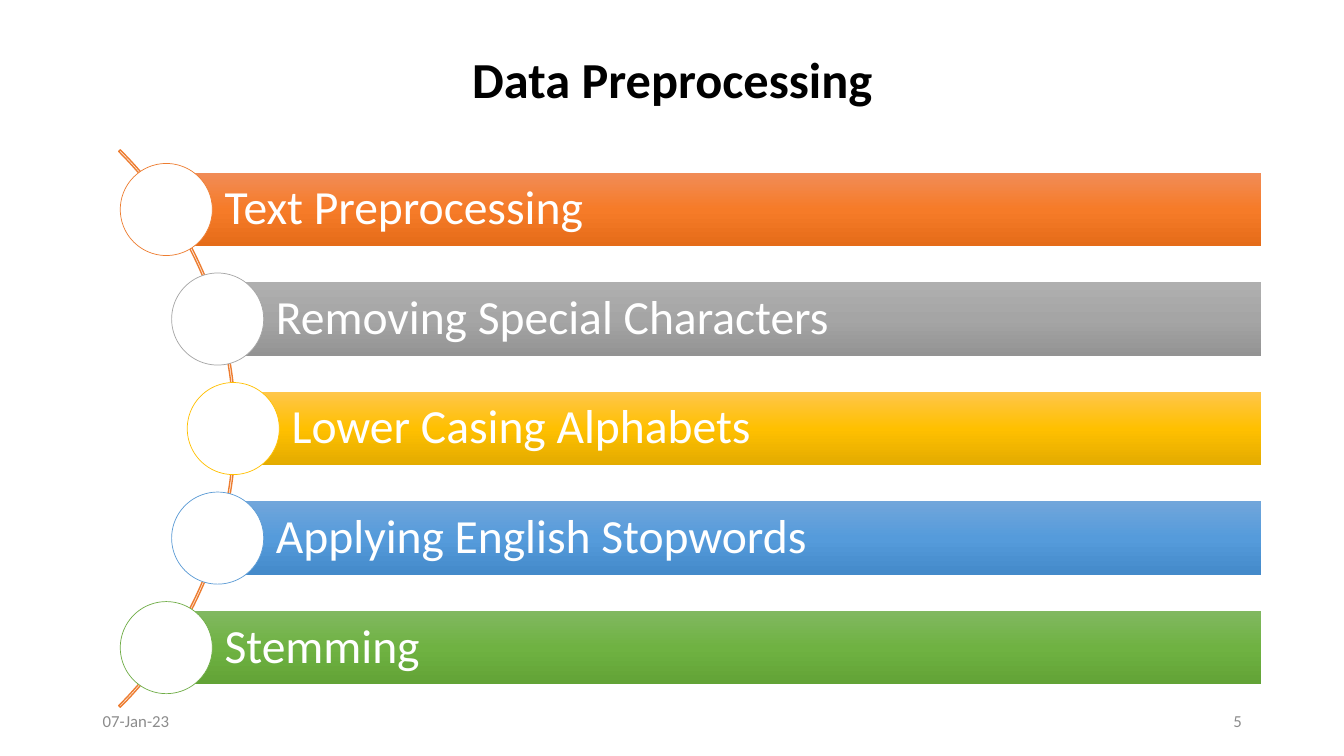
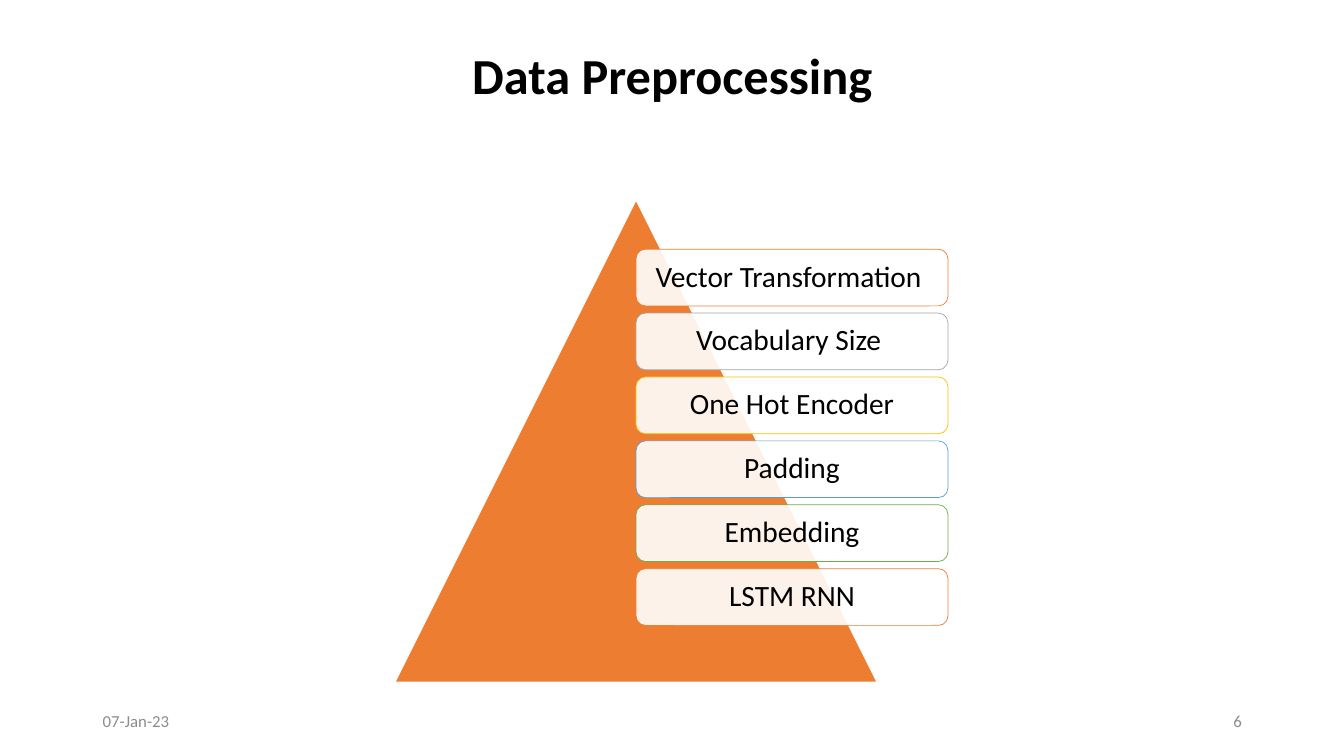
from copy import deepcopy
from math import sqrt

from lxml.etree import SubElement
from pptx import Presentation
from pptx.dml.color import RGBColor
from pptx.enum.shapes import MSO_SHAPE
from pptx.enum.text import MSO_ANCHOR, PP_ALIGN
from pptx.oxml.ns import qn
from pptx.util import Cm, Pt

ORANGE, GREY, GOLD, BLUE, GREEN = ACCENTS = ["ED7D31", "A5A5A5", "FFC000", "5B9BD5", "70AD47"]
WHITE, BLACK, MUTED = "FFFFFF", "000000", "8C8C8C"


def rgb(value):
    return RGBColor.from_string(value)


def set_attrs(obj, values):
    for name, value in values.items():
        setattr(obj, name, value)


class Deck:
    font = "Calibri"
    margin, content_width = 2.34, 29.21
    date = "07-Jan-23"

    def __init__(self):
        self.prs = Presentation()
        set_attrs(self.prs, {"slide_width": Cm(33.87), "slide_height": Cm(19.05)})
        self.slide = None

    def new_slide(self, title, title_middle, number):
        self.slide = self.prs.slides.add_slide(self.prs.slide_layouts[6])
        height = 1.9
        self.label(title, self.margin, title_middle - height / 2, self.content_width, height,
                   size=36, bold=True, align=PP_ALIGN.CENTER)
        # Footer: date on the left, page number on the right
        width, top, height = 7.62, 17.65, 1.02
        right = self.margin + self.content_width - width
        self.label(self.date, self.margin, top, width, height, size=12, color=MUTED)
        self.label(str(number), right, top, width, height,
                   size=12, color=MUTED, align=PP_ALIGN.RIGHT)

    def add_text(self, s, text, size, color=BLACK, bold=False, align=PP_ALIGN.LEFT,
                 insets=(0.25, 0.13, 0.25, 0.13)):
        tf = s.text_frame
        sides = ("margin_left", "margin_top", "margin_right", "margin_bottom")
        set_attrs(tf, {"word_wrap": True, "vertical_anchor": MSO_ANCHOR.MIDDLE,
                       **{side: Cm(inset) for side, inset in zip(sides, insets)}})
        p = tf.paragraphs[0]
        set_attrs(p, {"alignment": align, "line_spacing": 0.9 if size > 12 else 1.0})
        r = p.add_run()
        r.text = text
        set_attrs(r.font, {"name": self.font, "size": Pt(size), "bold": bold})
        r.font.color.rgb = rgb(color)

    def label(self, text, left, top, width, height, **style):
        s = self.slide.shapes.add_textbox(Cm(left), Cm(top), Cm(width), Cm(height))
        self.add_text(s, text, **style)

    def shape(self, kind, left, top, width, height, fill=None, line=None, weight=0.5, alpha=None):
        s = self.slide.shapes.add_shape(kind, Cm(left), Cm(top), Cm(width), Cm(height))
        s.shadow.inherit = False
        if fill:
            s.fill.solid()
            s.fill.fore_color.rgb = rgb(fill)
        else:
            s.fill.background()
        if alpha:
            color = s.element.spPr.find(qn("a:solidFill")).find(qn("a:srgbClr"))
            SubElement(color, qn("a:alpha")).set("val", str(alpha * 1000))
        if line:
            s.line.color.rgb = rgb(line)
            s.line.width = Pt(weight)
        else:
            s.line.fill.background()
        return s

    def gradient_bar(self, left, top, width, height, colors):
        s = self.shape(MSO_SHAPE.RECTANGLE, left, top, width, height)
        s.fill.gradient()
        s.fill.gradient_angle = 270
        stops = s.element.spPr.find(qn("a:gradFill")).find(qn("a:gsLst"))
        stops.insert(1, deepcopy(stops[0]))
        for stop, color, position in zip(s.fill.gradient_stops, colors, (0, 0.5, 1)):
            stop.color.rgb = rgb(color)
            stop.position = position
        return s


deck = Deck()

# Slide 1: steps along an arc
deck.new_slide("Data Preprocessing", 2.07, 5)

center_x, center_y, radius = -3.99, 10.8, 9.93
arc = deck.shape(MSO_SHAPE.BLOCK_ARC, center_x - radius, center_y - radius,
                 2 * radius, 2 * radius, line=ORANGE, weight=1)
for i, value in enumerate((189, 27, 0.0028)):
    arc.adjustments[i] = value

steps = [
    ("Text Preprocessing", ("F18C57", "F67B28", "E56C19")),
    ("Removing Special Characters", ("AFAFAF", "A5A5A5", "939393")),
    ("Lower Casing Alphabets", ("FFC64B", "FFC000", "E3AB00")),
    ("Applying English Stopwords", ("71A6DB", "559BDB", "448ACA")),
    ("Stemming", ("81B861", "6FB242", "62A336")),
]
pitch, bar_height, bar_right, dot = 2.76, 1.85, 31.78, 2.32
for i, ((text, colors), accent) in enumerate(zip(steps, ACCENTS)):
    offset = (i - 2) * pitch
    x = center_x + sqrt((radius - 0.06) ** 2 - offset ** 2)
    y = center_y + offset
    bar = deck.gradient_bar(x, y - bar_height / 2, bar_right - x, bar_height, colors)
    deck.add_text(bar, text, size=34, color=WHITE, insets=(1.47, 0.23, 0.23, 0.23))
    deck.shape(MSO_SHAPE.OVAL, x - dot / 2, y - dot / 2, dot, dot, fill=WHITE, line=accent)

# Slide 2: list over a pyramid
deck.new_slide("Data Preprocessing", 1.97, 6)

left, top, side = 9.98, 5.08, 12.1
deck.shape(MSO_SHAPE.ISOSCELES_TRIANGLE, left, top, side, side, fill=ORANGE)

stages = ["Vector Transformation ", "Vocabulary Size ", "One Hot Encoder",
          "Padding", "Embedding", "LSTM RNN"]
for i, text in enumerate(stages):
    box = deck.shape(MSO_SHAPE.ROUNDED_RECTANGLE, left + side / 2, 6.28 + i * 1.61, 7.86, 1.43,
                     fill=WHITE, alpha=90, line=ACCENTS[i % len(ACCENTS)])
    deck.add_text(box, text, size=21, align=PP_ALIGN.CENTER, insets=(0.23,) * 4)

deck.prs.save("out.pptx")
